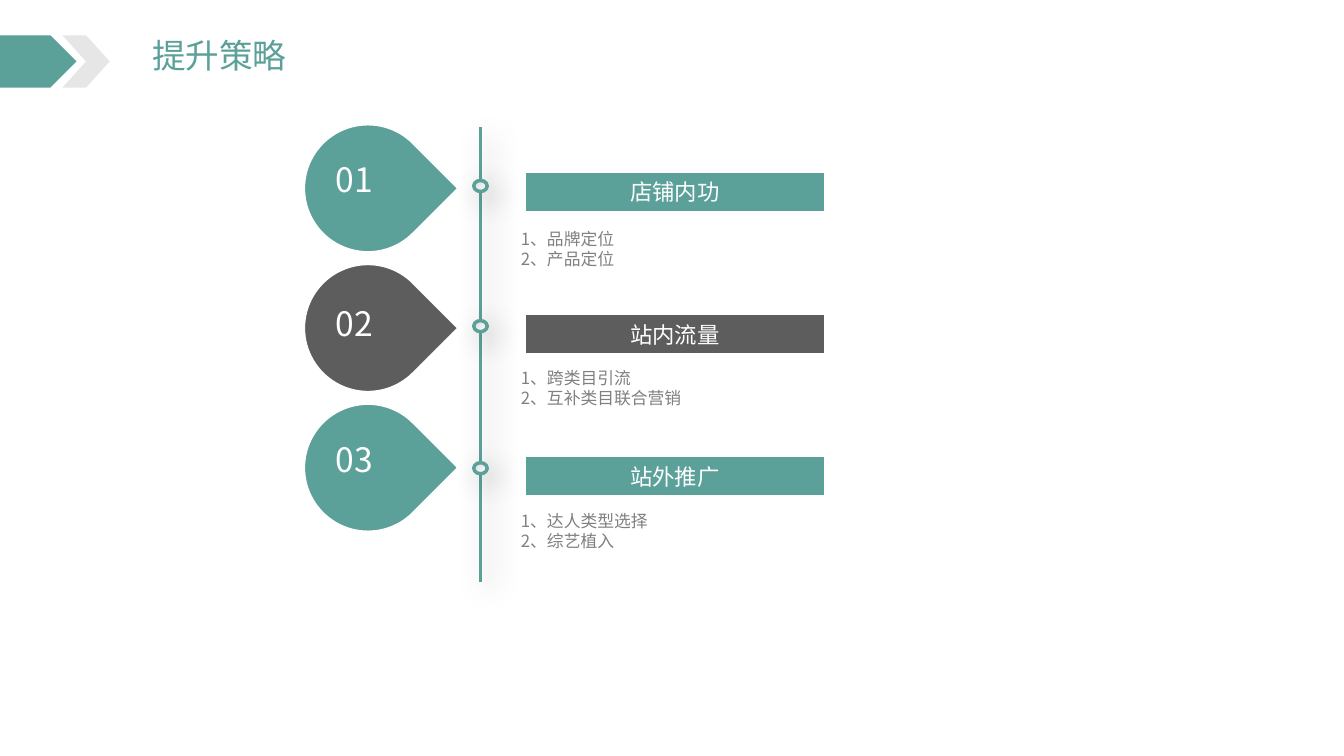
"""Build the slide on improvement strategies: three numbered drops along a timeline."""
from dataclasses import dataclass

from lxml import etree
from pptx import Presentation
from pptx.dml.color import RGBColor
from pptx.enum import shapes, text
from pptx.oxml import ns
from pptx.util import Pt


@dataclass(frozen=True)
class Theme:
    teal: str = "5BA099"
    dark: str = "5D5D5D"
    pale: str = "E7E6E6"
    silver: str = "D9D9D9"
    white: str = "FFFFFF"
    body: str = "808080"
    shadow: str = "000000"
    font: str = "Noto Sans CJK SC"
    title_size: float = 24
    heading_size: float = 16
    body_size: float = 12
    line_width: float = 2.5


THEME = Theme()
KIND = shapes.MSO_SHAPE
ALIGN = text.PP_ALIGN
SECTIONS = [
    ("01", "店铺内功", ["1、品牌定位", "2、产品定位"], THEME.teal),
    ("02", "站内流量", ["1、跨类目引流", "2、互补类目联合营销"], THEME.dark),
    ("03", "站外推广", ["1、达人类型选择", "2、综艺植入"], THEME.teal),
]
NUMBER_TOPS = [110.2, 213.1, 310.3]
RING_TOPS = [128.9, 229, 330.5]
BODY_TOPS = [159.8, 259.2, 361.4]
DROP_TOP, DROP_PITCH = 88.4, 99.8
BAR_TOP, BAR_PITCH = 122.4, 101.5


def write(tf, lines, size, color, align=ALIGN.LEFT):
    for i, line in enumerate(lines):
        p = tf.paragraphs[0] if i == 0 else tf.add_paragraph()
        p.alignment = align
        r = p.add_run()
        r.text = line
        r.font.size = Pt(size)
        r.font.color.rgb = RGBColor.from_string(color)
        r.font.name = THEME.font
        etree.SubElement(r.font._element, ns.qn("a:ea"), typeface=THEME.font)


def add_text(parent, box, lines, size, color, align=ALIGN.LEFT, wrap=True):
    s = parent.add_textbox(*map(Pt, box))
    s.text_frame.word_wrap = wrap
    s.text_frame.auto_size = text.MSO_AUTO_SIZE.SHAPE_TO_FIT_TEXT
    write(s.text_frame, lines, size, color, align)


def add_block(parent, kind, box, fill, line=None):
    s = parent.add_shape(kind, *map(Pt, box))
    s.shadow.inherit = False
    s.fill.solid()
    s.fill.fore_color.rgb = RGBColor.from_string(fill)
    if line:
        set_line(s, line)
    else:
        s.line.fill.background()
    return s


def set_line(s, color):
    s.line.color.rgb = RGBColor.from_string(color)
    s.line.width = Pt(THEME.line_width)


def add_shadow(s):
    sp_pr = s._element.spPr
    for old in sp_pr.findall(ns.qn("a:effectLst")):
        sp_pr.remove(old)
    effects = etree.SubElement(sp_pr, ns.qn("a:effectLst"))
    outer = etree.SubElement(
        effects, ns.qn("a:outerShdw"), blurRad=str(Pt(20)), dist=str(Pt(8)),
        dir="2700000", algn="tl", rotWithShape="0")
    color = etree.SubElement(outer, ns.qn("a:srgbClr"), val=THEME.shadow)
    etree.SubElement(color, ns.qn("a:alpha"), val="30000")


def add_axis(parent, x, top, bottom):
    s = parent.add_connector(
        shapes.MSO_CONNECTOR.STRAIGHT, Pt(x), Pt(top), Pt(x), Pt(bottom))
    set_line(s, THEME.teal)
    add_shadow(s)


def add_ring(parent, top):
    s = add_block(parent, KIND.OVAL, (338.4, top, 9.6, 7.9), THEME.white, THEME.teal)
    s.fill.gradient()
    s.fill.gradient_angle = 315
    for stop, color in zip(s.fill.gradient_stops, (THEME.silver, THEME.white)):
        stop.color.rgb = RGBColor.from_string(color)
    add_shadow(s)


def add_drop(parent, top, number, number_top, fill):
    s = add_block(parent, KIND.TEAR, (216.7, top, 92.2, 92.2), fill, THEME.white)
    s.rotation = 45
    add_text(parent, (232.6, number_top, 69.1, 36), [number], THEME.title_size, THEME.white)


def add_bar(parent, top, heading, fill):
    s = add_block(parent, KIND.RECTANGLE, (374.4, top, 215.3, 29.5), fill, THEME.white)
    s.text_frame.vertical_anchor = text.MSO_ANCHOR.MIDDLE
    write(s.text_frame, [heading], THEME.heading_size, THEME.white, ALIGN.CENTER)


def add_header(parent, title):
    add_text(parent, (101.5, 21.6, 111.6, 36), [title], THEME.title_size, THEME.teal, wrap=False)
    add_block(parent, KIND.PENTAGON, (0, 25.2, 54.7, 37.4), THEME.teal)
    add_block(parent, KIND.CHEVRON, (44.6, 25.2, 33.8, 37.4), THEME.pale)


def main():
    prs = Presentation()
    prs.slide_width, prs.slide_height = Pt(960), Pt(540)
    canvas = prs.slides.add_slide(prs.slide_layouts[6]).shapes
    add_header(canvas, "提升策略")

    timeline = canvas.add_group_shape().shapes
    add_axis(timeline, 343.4, 90.7, 415.4)
    for top in RING_TOPS:
        add_ring(timeline, top)

    drops = canvas.add_group_shape().shapes
    for i, (number, heading, items, fill) in enumerate(SECTIONS):
        add_drop(drops, DROP_TOP + i * DROP_PITCH, number, NUMBER_TOPS[i], fill)
        add_bar(canvas, BAR_TOP + i * BAR_PITCH, heading, fill)
        add_text(canvas, (365, BODY_TOPS[i], 378, 36), items,
                 THEME.body_size, THEME.body, ALIGN.JUSTIFY)

    prs.save("out.pptx")


if __name__ == "__main__":
    main()
